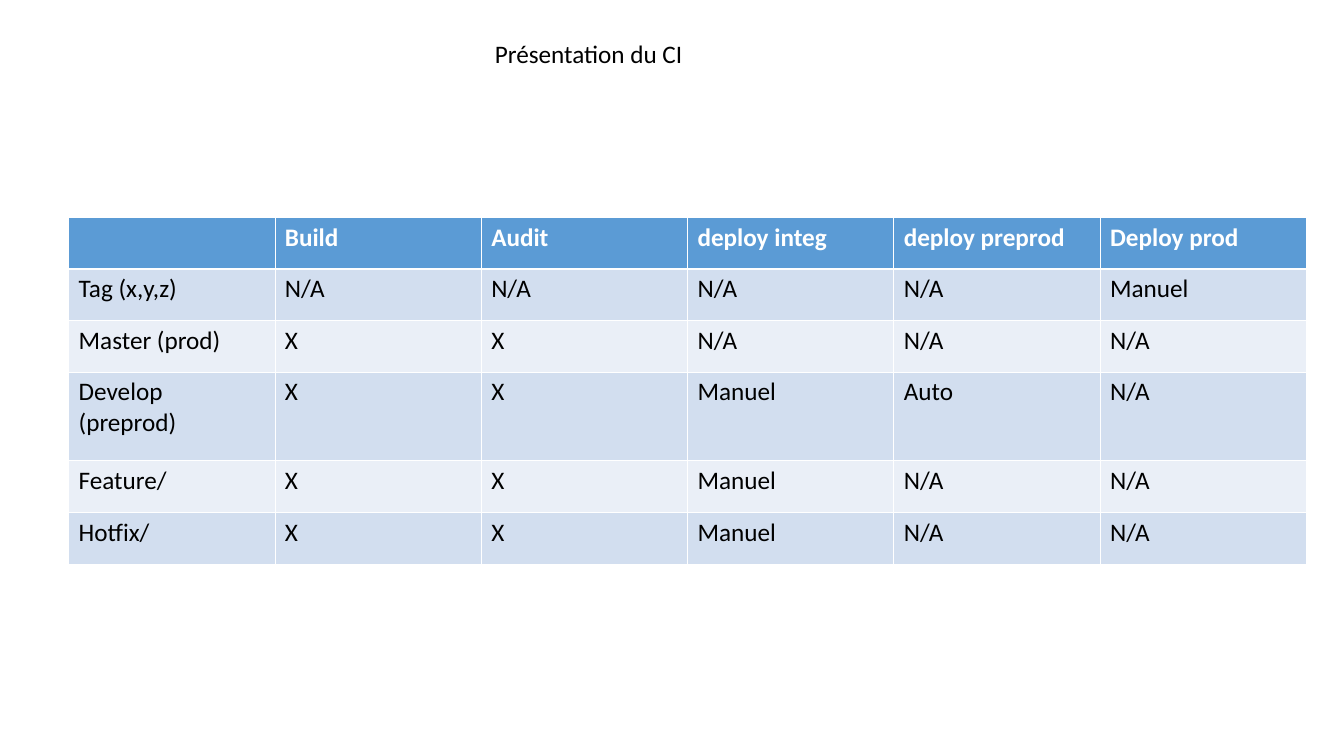
from dataclasses import dataclass

from lxml import etree
from pptx import Presentation
from pptx.dml.color import RGBColor
from pptx.enum.text import MSO_ANCHOR, MSO_AUTO_SIZE, PP_ALIGN
from pptx.oxml.ns import qn
from pptx.util import Cm, Pt

LEFT = PP_ALIGN.LEFT
TOP = MSO_ANCHOR.TOP
FIXED = MSO_AUTO_SIZE.NONE


@dataclass(frozen=True)
class Theme:
    font: str = "Calibri"
    size: float = 18
    ink: str = "000000"
    light: str = "FFFFFF"
    head: str = "5B9BD5"
    bands: tuple[str, str] = ("D2DEEF", "EAEFF7")
    thin: float = 0.45
    thick: float = 1.47


@dataclass(frozen=True)
class Row:
    cells: tuple[str, ...]
    height: float = 1.3


THEME = Theme()
COL = 5.2
ROWS = (
    Row(("", "Build", "Audit", "deploy integ", "deploy preprod", "Deploy prod")),
    Row(("Tag (x,y,z)", "N/A", "N/A", "N/A", "N/A", "Manuel")),
    Row(("Master (prod)", "X", "X", "N/A", "N/A", "N/A")),
    Row(("Develop (preprod)", "X", "X", "Manuel", "Auto", "N/A"), 2.24),
    Row(("Feature/", "X", "X", "Manuel", "N/A", "N/A")),
    Row(("Hotfix/", "X", "X", "Manuel", "N/A", "N/A")),
)


def style(para, color: str, bold: bool = False) -> None:
    para.alignment = LEFT
    font = para.font
    font.name, font.size, font.bold = THEME.font, Pt(THEME.size), bold
    font.color.rgb = RGBColor.from_string(color)


def edge(cell, side: str, width: float) -> None:
    props = cell._tc.get_or_add_tcPr()
    line = etree.SubElement(props, qn(f"a:ln{side}"), w=str(Pt(width)))
    fill = etree.SubElement(line, qn("a:solidFill"))
    etree.SubElement(fill, qn("a:srgbClr"), val=THEME.light)


def draw_cell(cell, text: str, row: int) -> None:
    head = row == 0
    # Borders go before the fill in the cell properties
    heavy = {0: "B", 1: "T"}.get(row)
    for side in "LRTB":
        edge(cell, side, THEME.thick if side == heavy else THEME.thin)
    cell.fill.solid()
    back = THEME.head if head else THEME.bands[(row - 1) % 2]
    cell.fill.fore_color.rgb = RGBColor.from_string(back)
    cell.text = text
    style(cell.text_frame.paragraphs[0], THEME.light if head else THEME.ink, head)


def draw_title(slide, text: str) -> None:
    title = slide.shapes.title
    title.left, title.top = Cm(12.22), Cm(0.84)
    title.width, title.height = Cm(5.26), Cm(1.02)
    frame = title.text_frame
    frame.text = text
    frame.word_wrap = False
    frame.auto_size = FIXED
    frame.vertical_anchor = TOP
    style(frame.paragraphs[0], THEME.ink)


def draw_table(slide, rows: tuple[Row, ...]) -> None:
    count = len(rows[0].cells)
    high = sum(row.height for row in rows)
    table = slide.shapes.add_table(
        len(rows), count, Cm(1.73), Cm(5.47), Cm(COL * count), Cm(high)
    ).table
    for col in table.columns:
        col.width = Cm(COL)
    for r, row in enumerate(rows):
        table.rows[r].height = Cm(row.height)
        for c, text in enumerate(row.cells):
            draw_cell(table.cell(r, c), text, r)


# Slide
deck = Presentation()
deck.slide_width, deck.slide_height = Cm(33.88), Cm(19.05)
slide = deck.slides.add_slide(deck.slide_layouts.get_by_name("Title Only"))

# Title and pipeline table
draw_title(slide, "Présentation du CI")
draw_table(slide, ROWS)

deck.save("out.pptx")
